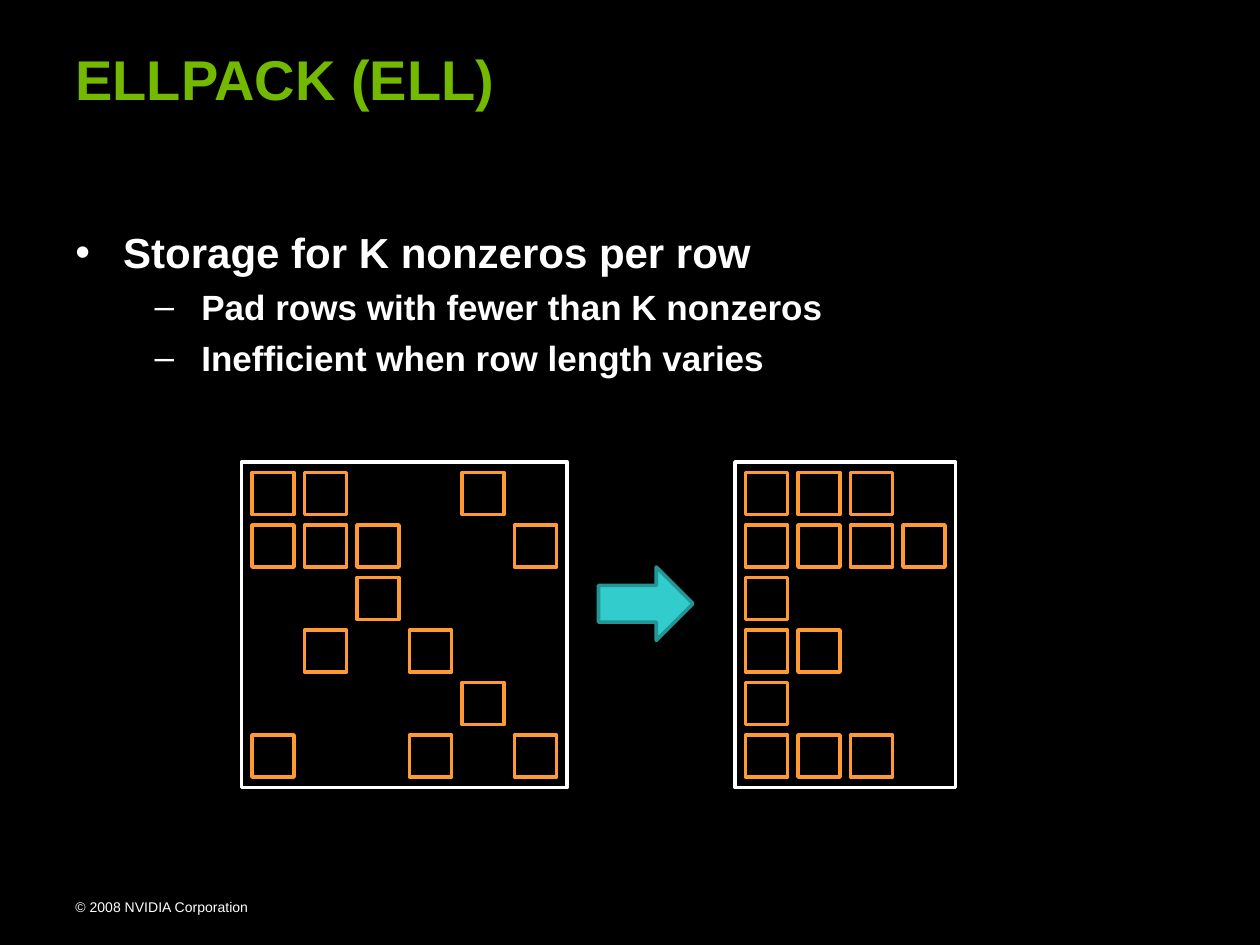
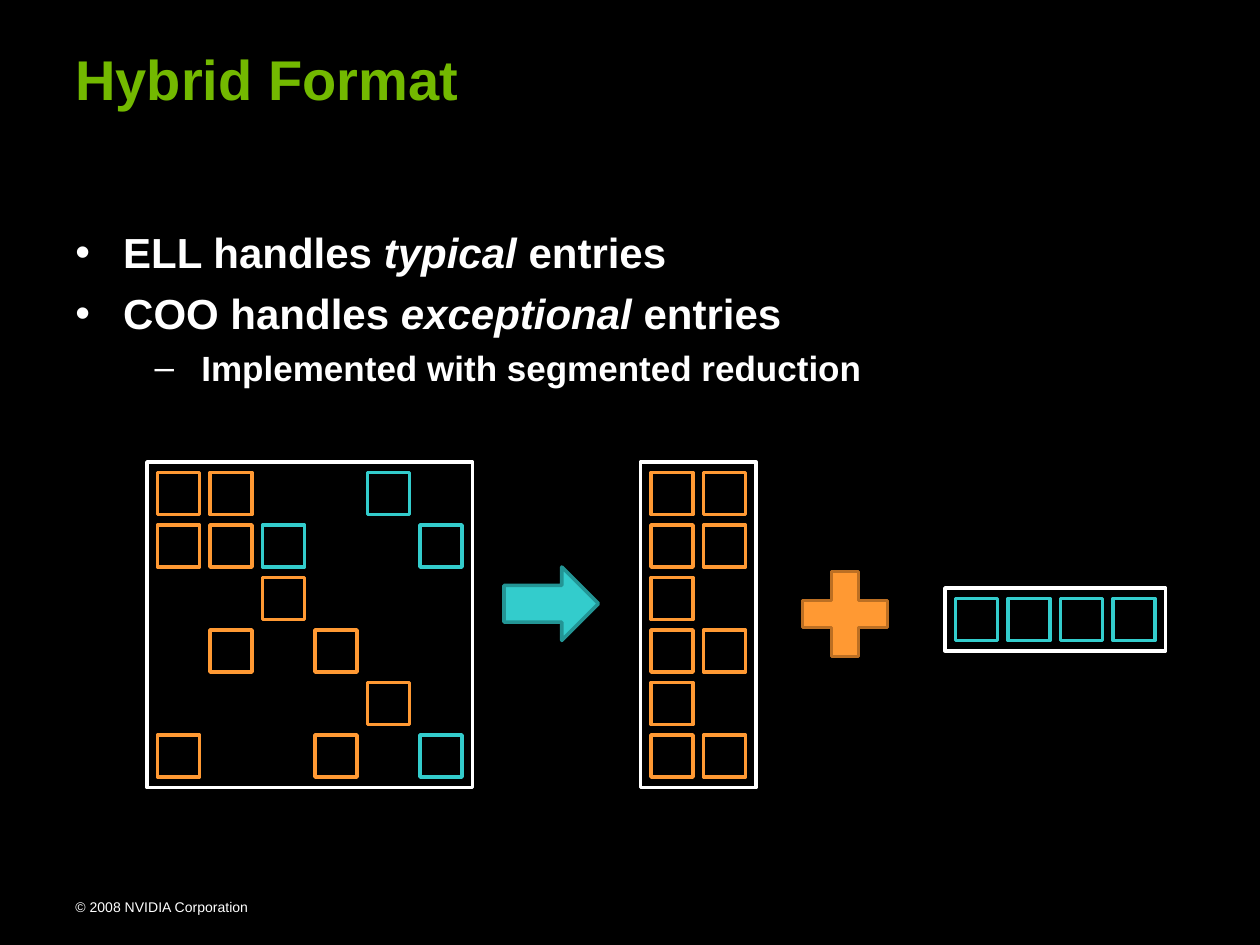
from dataclasses import dataclass
from typing import Any

from lxml.etree import SubElement
from pptx import Presentation
from pptx.dml.color import RGBColor
from pptx.enum.shapes import MSO_SHAPE as Kind
from pptx.enum.text import MSO_ANCHOR as Anchor
from pptx.oxml.ns import qn
from pptx.util import Inches, Pt

BLACK = RGBColor(0x00, 0x00, 0x00)
WHITE = RGBColor(0xFF, 0xFF, 0xFF)
GREEN = RGBColor(0x73, 0xB9, 0x00)
ORANGE = RGBColor(0xFF, 0x99, 0x33)
RUST = RGBColor(0xBC, 0x6F, 0x23)
CYAN = RGBColor(0x33, 0xCC, 0xCC)
TEAL = RGBColor(0x23, 0x95, 0x95)

# The slide is a grid of 120 columns by 90 rows.
UNIT = Inches(10) // 120
CELL, PITCH = 4, 5
TOP = 44

FONT = {"name": "Arial", "bold": True}
TITLE = FONT | {"size": Pt(32)}
NOTE = {"name": "Arial", "size": Pt(8)}
INK = {"o": ORANGE, "c": CYAN}

# o: typical entry, c: exceptional entry, dot: zero
MATRIX = ["oo..c.", "ooc..c", "..o...", ".o.o..", "....o.", "o..o.c"]


@dataclass(frozen=True)
class Box:
    left: float
    top: float
    width: float
    height: float

    def place(self) -> list[int]:
        """Turn grid units into lengths."""
        return [round(n * UNIT) for n in (self.left, self.top, self.width, self.height)]


@dataclass(frozen=True)
class Level:
    mark: str
    size: int
    left: float
    hang: float
    gap: int


@dataclass(frozen=True)
class Point:
    text: str
    level: int = 0


LEVELS = [Level("•", 24, 0.38, 0.38, 6), Level("–", 20, 1, 0.37, 5)]


def style(font: Any, form: dict[str, Any], ink: RGBColor) -> None:
    for name, value in form.items():
        setattr(font, name, value)
    font.color.rgb = ink


def frame(slide: Any, box: Box) -> Any:
    text = slide.shapes.add_textbox(*box.place()).text_frame
    text.word_wrap = True
    text.vertical_anchor = Anchor.TOP
    return text


def label(slide: Any, box: Box, text: str, form: dict[str, Any], ink: RGBColor) -> None:
    run = frame(slide, box).paragraphs[0].add_run()
    run.text = text
    style(run.font, form, ink)


def bullet(para: Any, level: Level) -> None:
    props = para._p.get_or_add_pPr()
    props.set("marL", str(Inches(level.left)))
    props.set("indent", str(-Inches(level.hang)))
    tint = SubElement(props, qn("a:buClr"))
    SubElement(tint, qn("a:srgbClr"), val=str(WHITE))
    SubElement(props, qn("a:buFont"), typeface="Arial")
    SubElement(props, qn("a:buChar"), char=level.mark)


def outline(slide: Any, points: list[Point]) -> None:
    """Write the bullets; words between asterisks are italic."""
    text = frame(slide, Box(6, 21, 108, 62))
    for n, point in enumerate(points):
        para = text.add_paragraph() if n else text.paragraphs[0]
        level = LEVELS[point.level]
        para.level = point.level
        bullet(para, level)
        if n:
            para.space_before = Pt(level.gap)
        for k, part in enumerate(point.text.split("*")):
            run = para.add_run()
            run.text = part
            form = FONT | {"size": Pt(level.size), "italic": k % 2 == 1}
            style(run.font, form, WHITE)


def draw(slide: Any, kind: Kind, box: Box, line: RGBColor, fill: RGBColor | None = None) -> None:
    shape = slide.shapes.add_shape(kind, *box.place())
    shape.shadow.inherit = False
    shape.line.color.rgb = line
    shape.line.width = Pt(2)
    if fill is None:
        shape.fill.background()
    else:
        shape.fill.solid()
        shape.fill.fore_color.rgb = fill


def grid(slide: Any, left: int, top: int, rows: list[str]) -> None:
    """Frame the rows and draw a square for each nonzero."""
    wide = max(map(len, rows)) * PITCH + 1
    draw(slide, Kind.RECTANGLE, Box(left, top, wide, len(rows) * PITCH + 1), WHITE)
    for r, row in enumerate(rows):
        for c, key in enumerate(row):
            if key in INK:
                spot = Box(left + 1 + c * PITCH, top + 1 + r * PITCH, CELL, CELL)
                draw(slide, Kind.RECTANGLE, spot, INK[key])


def pack(rows: list[str], key: str) -> list[str]:
    """Push one kind of entry to the left of each row."""
    return [key * row.count(key) for row in rows]


def convert(slide: Any, left: int, rows: list[str]) -> None:
    """Draw the matrix, the arrow and the ELL storage."""
    grid(slide, left, TOP, rows)
    draw(slide, Kind.RIGHT_ARROW, Box(left + 34, TOP + 10, 9, 7), TEAL, CYAN)
    grid(slide, left + 47, TOP, pack(rows, "o"))


def start(deck: Any, title: str, points: list[Point]) -> Any:
    slide = deck.slides.add_slide(deck.slide_layouts[6])
    slide.background.fill.solid()
    slide.background.fill.fore_color.rgb = BLACK
    label(slide, Box(6, 85, 27, 2.9), "© 2008 NVIDIA Corporation", NOTE, WHITE)
    label(slide, Box(6, 3.6, 97, 7.6), title, TITLE, GREEN)
    outline(slide, points)
    return slide


def ellpack(deck: Any) -> None:
    slide = start(deck, "ELLPACK (ELL)", [
        Point("Storage for K nonzeros per row"),
        Point("Pad rows with fewer than K nonzeros", 1),
        Point("Inefficient when row length varies", 1),
    ])
    convert(slide, 23, [row.replace("c", "o") for row in MATRIX])


def hybrid(deck: Any) -> None:
    slide = start(deck, "Hybrid Format", [
        Point("ELL handles *typical* entries"),
        Point("COO handles *exceptional* entries"),
        Point("Implemented with segmented reduction", 1),
    ])
    convert(slide, 14, MATRIX)
    draw(slide, Kind.MATH_PLUS, Box(75, 53, 11, 11), RUST, ORANGE)
    grid(slide, 90, 56, ["".join(pack(MATRIX, "c"))])


def main() -> None:
    deck = Presentation()
    deck.slide_width, deck.slide_height = 120 * UNIT, 90 * UNIT
    ellpack(deck)
    hybrid(deck)
    deck.save("out.pptx")


if __name__ == "__main__":
    main()
